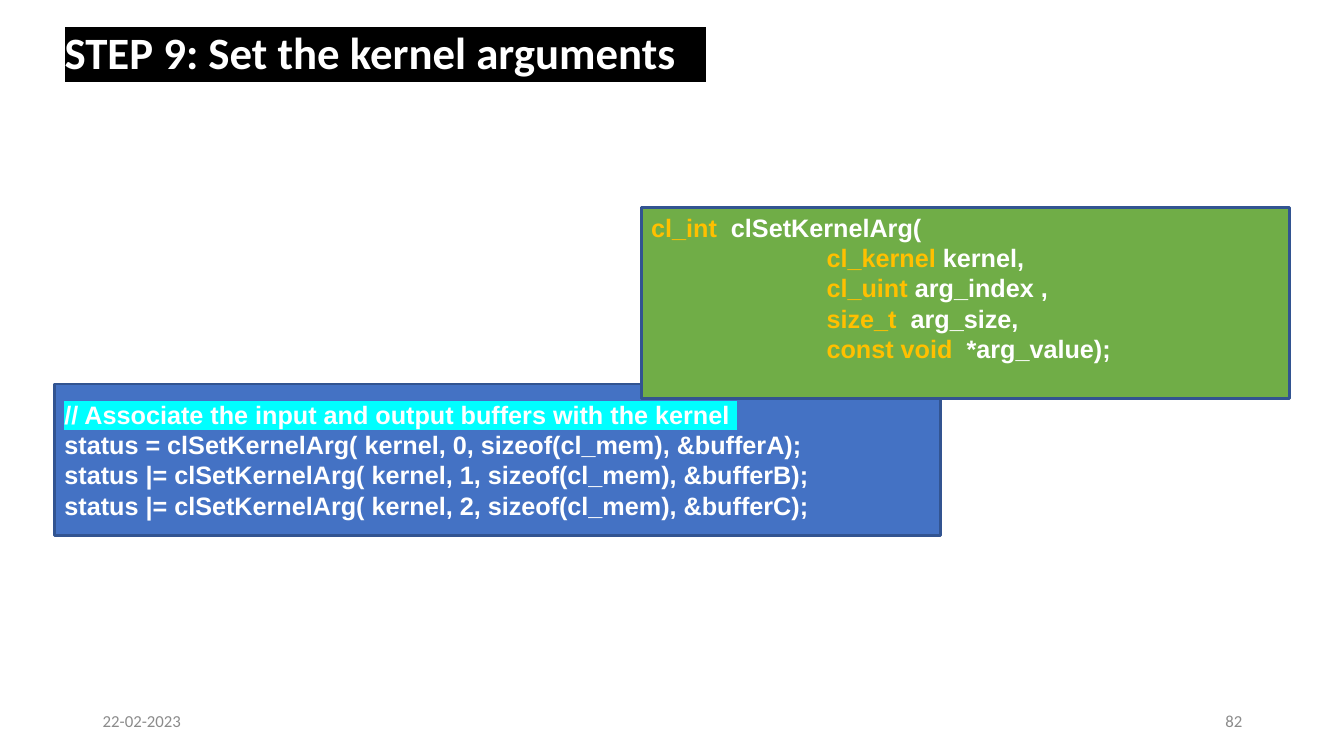
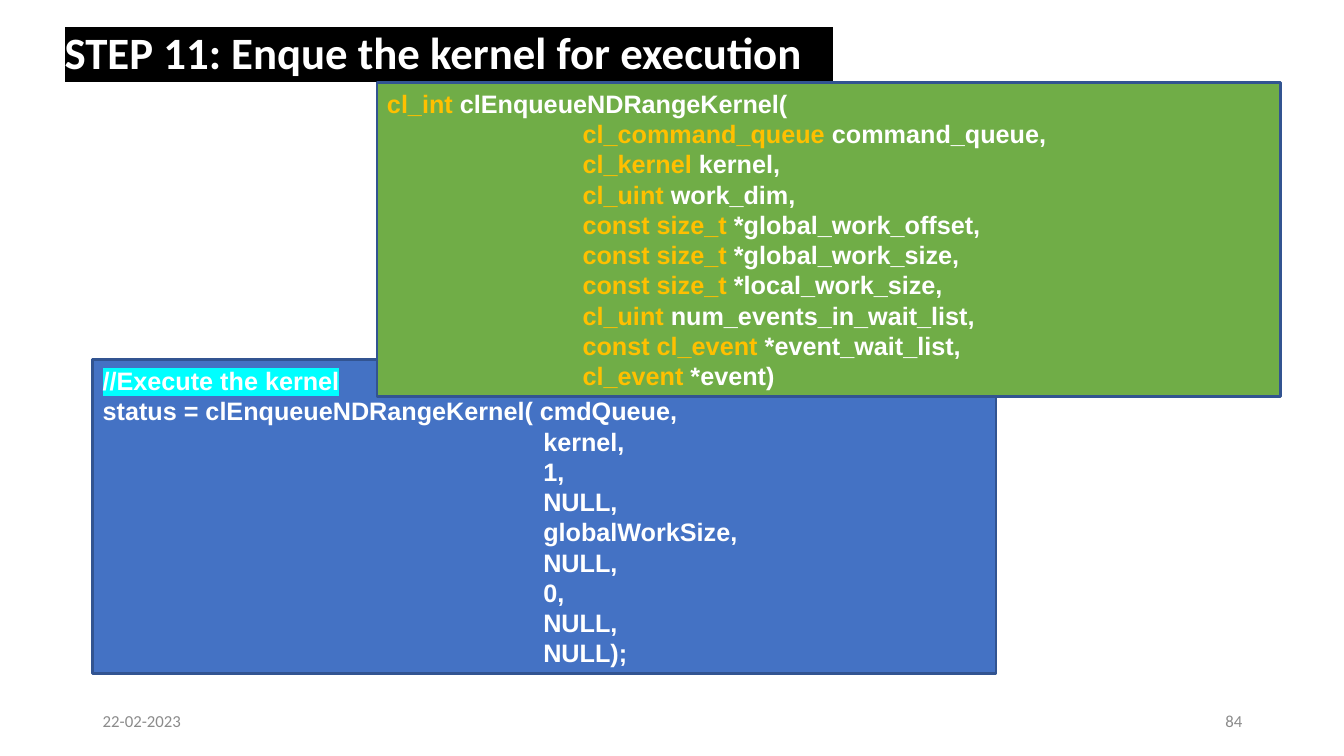
from lxml.etree import SubElement
from pptx import Presentation
from pptx.dml.color import RGBColor
from pptx.enum.shapes import MSO_SHAPE as Shape
from pptx.enum.text import MSO_ANCHOR as Anchor, MSO_AUTO_SIZE as AutoSize, PP_ALIGN as Align
from pptx.oxml.ns import qn
from pptx.util import Inches, Pt


def color(value):
    return RGBColor.from_string(value)


class Deck:
    WHITE, BLACK, GREY = "FFFFFF", "000000", "8B8B8B"
    BLUE, GREEN, BORDER = "4472C4", "70AD47", "325491"
    GOLD, CYAN = "FFC000", "00FFFF"
    HEADING, CODE = "Calibri", "Arial"
    DATE = "22-02-2023"

    def __init__(self):
        self.prs = Presentation()
        self.prs.slide_width, self.prs.slide_height = Inches(13.33), Inches(7.5)
        self.s = None

    def slide(self, title, number):
        self.s = self.prs.slides.add_slide(self.prs.slide_layouts[5])
        self.title(title)
        self.footer(0.92, self.DATE, Align.LEFT)
        self.footer(9.42, str(number), Align.RIGHT)

    def style(self, p, name, size, ink, bold=False, align=Align.LEFT):
        p.alignment = align
        f = p.font
        f.name, f.size, f.bold = name, Pt(size), bold
        f.color.rgb = color(ink)

    def run(self, p, text, ink=None, highlight=None):
        r = p.add_run()
        r.text = text
        if ink:
            r.font.color.rgb = color(ink)
        if highlight:
            mark = SubElement(r._r.get_or_add_rPr(), qn("a:highlight"))
            SubElement(mark, qn("a:srgbClr")).set("val", highlight)

    def title(self, text):
        sp = self.s.shapes.title
        sp.left, sp.top = Inches(0.54), Inches(0.14)
        sp.width, sp.height = Inches(11.5), Inches(0.82)
        tf = sp.text_frame
        tf.word_wrap, tf.auto_size = True, AutoSize.NONE
        tf.vertical_anchor = Anchor.MIDDLE
        p = tf.paragraphs[0]
        self.style(p, self.HEADING, 32, self.WHITE, bold=True)
        p.line_spacing = 0.9
        self.run(p, text, highlight=self.BLACK)

    def footer(self, left, text, align):
        sp = self.s.shapes.add_textbox(Inches(left), Inches(6.95), Inches(3), Inches(0.4))
        tf = sp.text_frame
        tf.word_wrap, tf.vertical_anchor = True, Anchor.MIDDLE
        p = tf.paragraphs[0]
        self.style(p, self.HEADING, 12, self.GREY, align=align)
        self.run(p, text)

    def panel(self, box, fill, bottom=0.05):
        sp = self.s.shapes.add_shape(Shape.RECTANGLE, *map(Inches, box))
        sp.shadow.inherit = False
        sp.fill.solid()
        sp.fill.fore_color.rgb = color(fill)
        sp.line.color.rgb, sp.line.width = color(self.BORDER), Pt(2)
        tf = sp.text_frame
        tf.word_wrap, tf.vertical_anchor = True, Anchor.MIDDLE
        tf.margin_bottom = Inches(bottom)
        return tf

    def code_line(self, tf, first=False, indent=0):
        p = tf.paragraphs[0] if first else tf.add_paragraph()
        self.style(p, self.CODE, 18, self.WHITE, bold=True)
        pPr = p._p.get_or_add_pPr()
        pPr.set("marL", str(Inches(indent)))
        pPr.set("indent", "0")
        return p

    def call(self, box, comment, lines, arguments=(), indent=0):
        tf = self.panel(box, self.BLUE)
        self.run(self.code_line(tf, first=True), comment, highlight=self.CYAN)
        for text in lines:
            self.run(self.code_line(tf), text)
        for text in arguments:
            self.run(self.code_line(tf, indent=indent), text)

    def prototype(self, box, signature, indent, bottom=0.05):
        tf = self.panel(box, self.GREEN, bottom)
        for i, (kind, name) in enumerate(signature):
            p = self.code_line(tf, first=i == 0, indent=indent if i else 0)
            self.run(p, kind, ink=self.GOLD)
            self.run(p, name, ink=self.WHITE)


def main():
    deck = Deck()

    deck.slide("STEP 9: Set the kernel arguments   ", 82)
    deck.call(
        (0.54, 3.81, 8.79, 1.5),
        "// Associate the input and output buffers with the kernel ",
        [
            "status = clSetKernelArg( kernel, 0, sizeof(cl_mem), &bufferA);",
            "status |= clSetKernelArg( kernel, 1, sizeof(cl_mem), &bufferB);",
            "status |= clSetKernelArg( kernel, 2, sizeof(cl_mem), &bufferC);",
        ],
    )
    deck.prototype(
        (6.36, 2.06, 6.43, 1.89),
        [
            ("cl_int  ", "clSetKernelArg("),
            ("cl_kernel ", "kernel,"),
            ("cl_uint ", "arg_index ,"),
            ("size_t  ", "arg_size,"),
            ("const void", "  *arg_value);"),
        ],
        indent=1.74,
        bottom=0.35,
    )

    deck.slide("STEP 11: Enque the kernel for execution   ", 84)
    deck.call(
        (0.92, 3.57, 8.96, 3.11),
        "//Execute the kernel",
        ["status = clEnqueueNDRangeKernel( cmdQueue,"],
        ["kernel,", "1,", "NULL,", "globalWorkSize,", "NULL,", "0,", "NULL,", "NULL);"],
        indent=4.37,
    )
    deck.prototype(
        (3.74, 0.82, 8.96, 3.11),
        [
            ("cl_int ", "clEnqueueNDRangeKernel("),
            ("cl_command_queue ", "command_queue,"),
            ("cl_kernel ", "kernel,"),
            ("cl_uint ", "work_dim,"),
            ("const size_t", " *global_work_offset,"),
            ("const size_t", " *global_work_size,"),
            ("const size_t", " *local_work_size,"),
            ("cl_uint ", "num_events_in_wait_list,"),
            ("const cl_event", " *event_wait_list,"),
            ("cl_event ", "*event)"),
        ],
        indent=1.94,
    )

    deck.prs.save("out.pptx")


if __name__ == "__main__":
    main()
